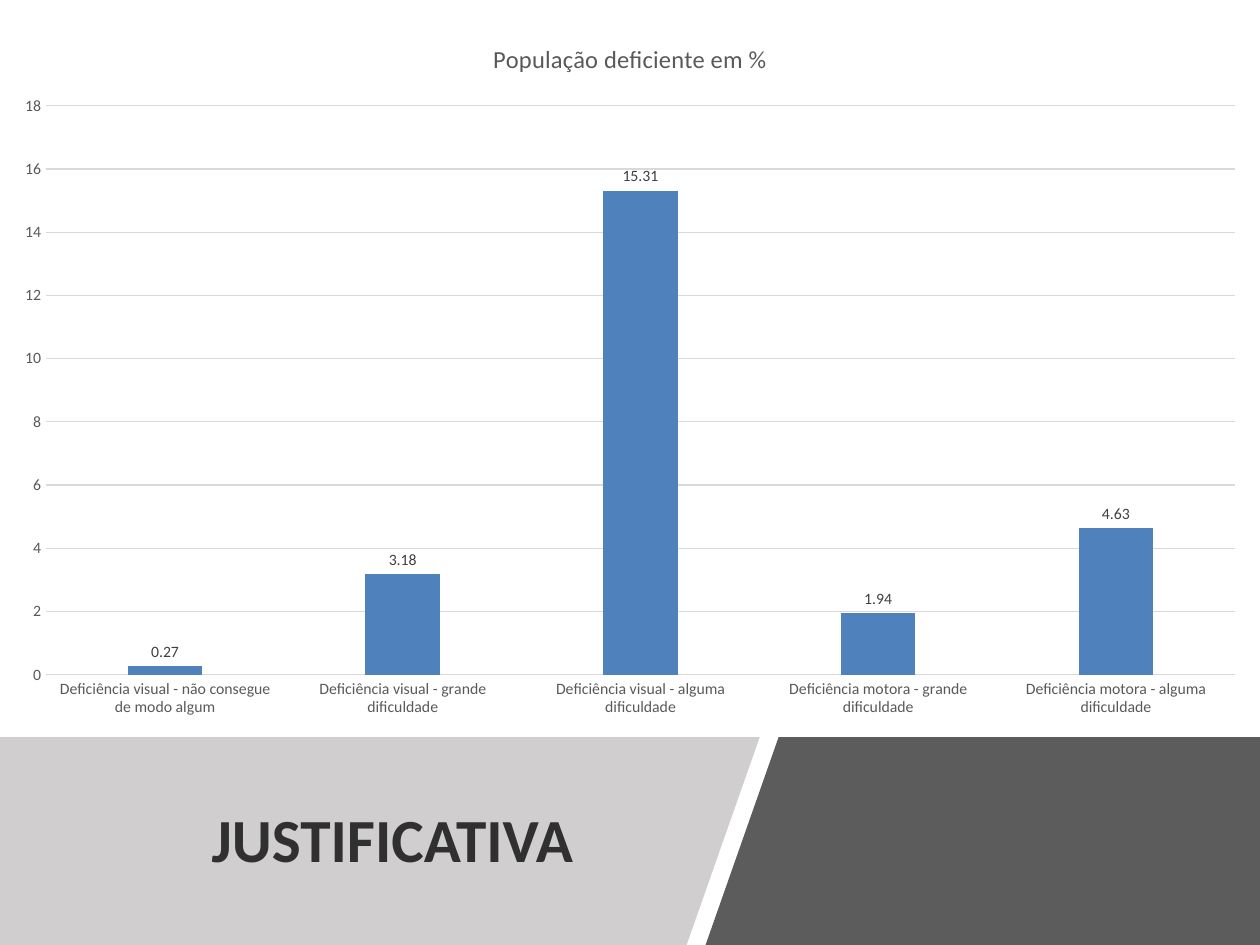
from lxml import etree
from pptx import Presentation
from pptx.chart.data import CategoryChartData
from pptx.dml.color import RGBColor
from pptx.enum.chart import XL_CHART_TYPE, XL_LABEL_POSITION, XL_TICK_MARK
from pptx.enum.text import MSO_ANCHOR, PP_ALIGN
from pptx.oxml.ns import qn
from pptx.util import Inches, Pt

COLUMN = XL_CHART_TYPE.COLUMN_CLUSTERED
OUTSIDE = XL_LABEL_POSITION.OUTSIDE_END
NO_TICK = XL_TICK_MARK.NONE
MIDDLE = MSO_ANCHOR.MIDDLE
CENTER = PP_ALIGN.CENTER

# Content
HEADING = "JUSTIFICATIVA"
CHART_TITLE = "População deficiente em %"
DATA = [
    ("Deficiência visual - não consegue de modo algum", 0.27),
    ("Deficiência visual - grande dificuldade", 3.18),
    ("Deficiência visual - alguma dificuldade", 15.31),
    ("Deficiência motora - grande dificuldade", 1.94),
    ("Deficiência motora - alguma dificuldade", 4.63),
]
FONT = "Calibri"
COLORS = {
    "dark": "404040", "light": "D0CECE", "head": "303030",
    "bar": "4F81BD", "text": "595959", "grid": "D9D9D9", "black": "000000",
}

# Bottom band: two panels with parallel slanted edges
WIDTH, HEIGHT, TOP = 10, 7.5, 5.85
PANELS = [
    ("dark", 85, [(6.18, TOP), (WIDTH, TOP), (WIDTH, HEIGHT), (5.6, HEIGHT)]),
    ("light", 100, [(0, TOP), (6.03, TOP), (5.45, HEIGHT), (0, HEIGHT)]),
]


def rgb(name):
    return RGBColor.from_string(COLORS[name])


def style(font, size, color, bold=False):
    font.name, font.size, font.bold = FONT, Pt(size), bold
    font.color.rgb = rgb(color)


def add_panel(slide, color, alpha, points):
    pts = [(Inches(x), Inches(y)) for x, y in points]
    form = slide.shapes.build_freeform(*pts[0])
    form.add_line_segments(pts[1:], close=True)
    panel = form.convert_to_shape()
    panel.shadow.inherit = False
    panel.line.fill.background()
    panel.fill.solid()
    panel.fill.fore_color.rgb = rgb(color)
    if alpha < 100:
        tone = panel.fill._xPr.find(".//" + qn("a:srgbClr"))
        etree.SubElement(tone, qn("a:alpha"), val=str(alpha * 1000))


def add_title(slide):
    title = slide.shapes.title
    title.left, title.top = Inches(0.78), Inches(6.05)
    title.width, title.height = Inches(4.67), Inches(1.2)
    frame = title.text_frame
    frame.text = HEADING
    frame.vertical_anchor = MIDDLE
    para = frame.paragraphs[0]
    para.alignment = CENTER
    style(para.font, 35, "head", True)
    # Bring the title in front of the panels
    slide.shapes._spTree.append(title._element)


def add_bars(slide):
    data = CategoryChartData()
    data.categories = [name for name, _ in DATA]
    data.add_series("Series 1", [value for _, value in DATA])
    chart = slide.shapes.add_chart(
        COLUMN, 0, Inches(0.13), Inches(WIDTH), Inches(5.67), data).chart
    style(chart.font, 10, "black")
    chart.has_legend = False
    chart.has_title = True
    frame = chart.chart_title.text_frame
    frame.text = CHART_TITLE
    style(frame.paragraphs[0].font, 14, "text")

    # Axes
    cat, val = chart.category_axis, chart.value_axis
    for axis in (cat, val):
        axis.major_tick_mark = axis.minor_tick_mark = NO_TICK
        style(axis.tick_labels.font, 9, "text")
    val.has_major_gridlines = True
    for line in (cat.format.line, val.major_gridlines.format.line):
        line.color.rgb = rgb("grid")
        line.width = Pt(0.75)
    val.format.line.fill.background()
    val.minimum_scale, val.maximum_scale, val.major_unit = 0, 18, 2

    # Bars and their values
    plot = chart.plots[0]
    plot.gap_width, plot.overlap = 219, -27
    plot.vary_by_categories = False
    bars = plot.series[0]
    bars.format.fill.solid()
    bars.format.fill.fore_color.rgb = rgb("bar")
    labels = bars.data_labels
    labels.show_value = True
    labels.position = OUTSIDE
    style(labels.font, 9, "dark")


def main():
    deck = Presentation()
    deck.slide_width, deck.slide_height = Inches(WIDTH), Inches(HEIGHT)
    slide = deck.slides.add_slide(deck.slide_layouts[5])
    for panel in PANELS:
        add_panel(slide, *panel)
    add_title(slide)
    add_bars(slide)
    deck.save("out.pptx")


if __name__ == "__main__":
    main()
